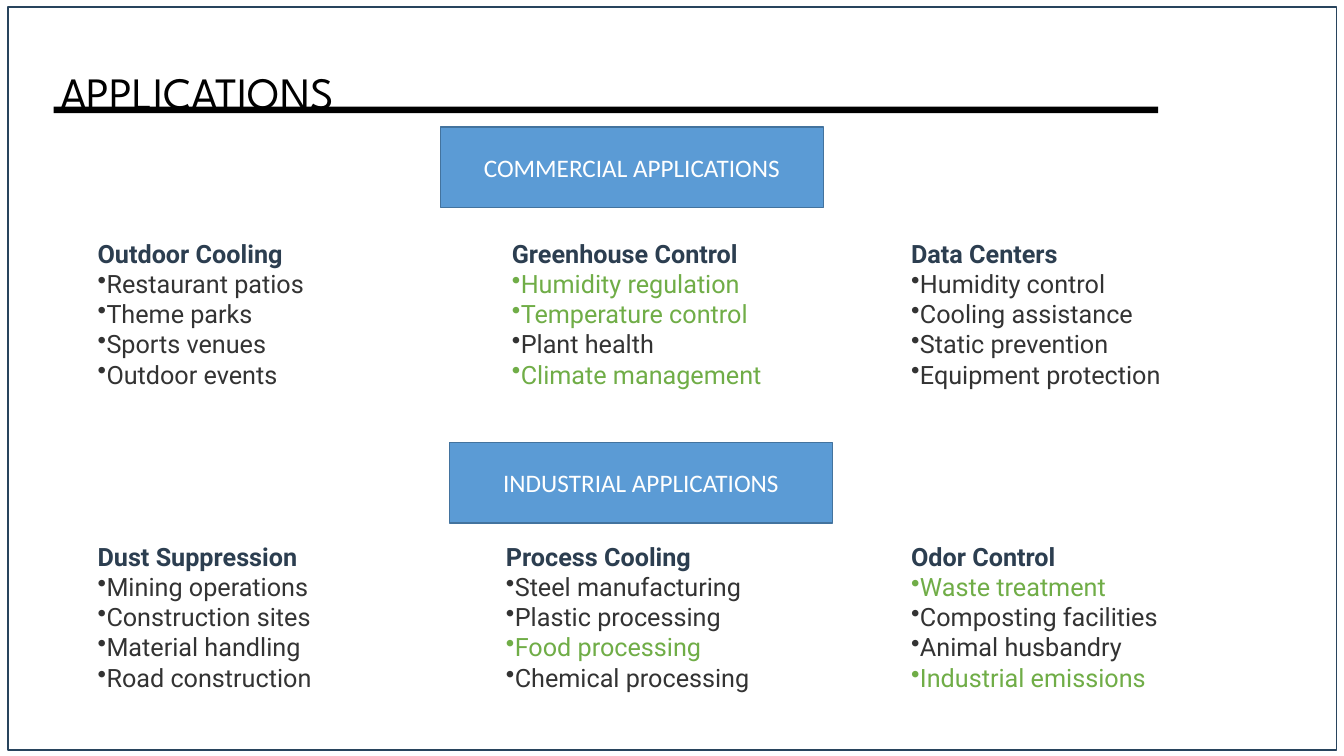
from lxml.etree import SubElement
from pptx import Presentation
from pptx.dml.color import RGBColor
from pptx.enum.shapes import MSO_SHAPE
from pptx.enum.text import MSO_ANCHOR, MSO_AUTO_SIZE, PP_ALIGN
from pptx.oxml.ns import qn
from pptx.util import Cm, Pt

COLORS = {
    "white": "FFFFFF",
    "black": "000000",
    "frame": "28445D",
    "banner": "5B9BD5",
    "banner_line": "43739E",
    "heading": "2C3E50",
    "body": "333333",
    "highlight": "70AD47",
}

HIGHLIGHTED = {
    "Humidity regulation",
    "Temperature control",
    "Climate management",
    "Food processing",
    "Waste treatment",
    "Industrial emissions",
}

SECTIONS = [
    {
        "title": "COMMERCIAL APPLICATIONS",
        "banner": (11.1, 3.2),
        "columns_top": 5.87,
        "columns": [
            (2.21, "Outdoor Cooling",
             ["Restaurant patios", "Theme parks", "Sports venues", "Outdoor events"]),
            (12.65, "Greenhouse Control",
             ["Humidity regulation", "Temperature control", "Plant health", "Climate management"]),
            (22.71, "Data Centers",
             ["Humidity control", "Cooling assistance", "Static prevention", "Equipment protection"]),
        ],
    },
    {
        "title": "INDUSTRIAL APPLICATIONS",
        "banner": (11.33, 11.15),
        "columns_top": 13.51,
        "columns": [
            (2.21, "Dust Suppression",
             ["Mining operations", "Construction sites", "Material handling", "Road construction"]),
            (12.5, "Process Cooling",
             ["Steel manufacturing", "Plastic processing", "Food processing", "Chemical processing"]),
            (22.71, "Odor Control",
             ["Waste treatment", "Composting facilities", "Animal husbandry", "Industrial emissions"]),
        ],
    },
]


def color(name):
    return RGBColor.from_string(COLORS[name])


def format_runs(paragraph, font_name, size, color_name, bold=False):
    for run in paragraph.runs:
        run.font.name = font_name
        run.font.size = Pt(size)
        run.font.bold = bold
        run.font.color.rgb = color(color_name)


def add_rectangle(slide, left, top, width, height, fill, line=None):
    shape = slide.shapes.add_shape(
        MSO_SHAPE.RECTANGLE, Cm(left), Cm(top), Cm(width), Cm(height))
    shape.shadow.inherit = False
    shape.fill.solid()
    shape.fill.fore_color.rgb = color(fill)
    if line:
        shape.line.color.rgb = color(line)
        shape.line.width = Pt(1)
    else:
        shape.line.fill.background()
    return shape


def add_text_box(slide, left, top, width, height):
    shape = slide.shapes.add_textbox(Cm(left), Cm(top), Cm(width), Cm(height))
    text_frame = shape.text_frame
    text_frame.word_wrap = True
    text_frame.auto_size = MSO_AUTO_SIZE.SHAPE_TO_FIT_TEXT
    return text_frame


def add_bullet(paragraph):
    properties = paragraph._p.get_or_add_pPr()
    properties.set("marL", "0")
    properties.set("indent", "0")
    SubElement(properties, qn("a:buChar")).set("char", "•")


def add_title(slide, left, top, width, height):
    text_frame = add_text_box(slide, left, top, width, height)
    text_frame.margin_left = text_frame.margin_right = 0
    text_frame.margin_top = text_frame.margin_bottom = 0
    text_frame.text = "APPLICATIONS"
    paragraph = text_frame.paragraphs[0]
    paragraph.line_spacing = 1.32
    format_runs(paragraph, "League Spartan", 32, "black")
    add_rectangle(slide, left - 0.17, top + 1.5, 27.84, 0.16, "black")


def add_banner(slide, left, top, width, height, title):
    banner = add_rectangle(slide, left, top, width, height, "banner", "banner_line")
    text_frame = banner.text_frame
    text_frame.vertical_anchor = MSO_ANCHOR.MIDDLE
    text_frame.text = title
    paragraph = text_frame.paragraphs[0]
    paragraph.alignment = PP_ALIGN.CENTER
    format_runs(paragraph, "Calibri", 18, "white")


def add_column(slide, left, top, width, height, heading, items):
    text_frame = add_text_box(slide, left, top, width, height)
    text_frame.text = "\n".join([heading, *items])
    heading_paragraph, *item_paragraphs = text_frame.paragraphs
    format_runs(heading_paragraph, "Roboto", 18, "heading", bold=True)
    for paragraph in item_paragraphs:
        add_bullet(paragraph)
        color_name = "highlight" if paragraph.text in HIGHLIGHTED else "body"
        format_runs(paragraph, "Roboto", 18, color_name)


def add_section(slide, section):
    add_banner(slide, *section["banner"], 9.65, 2.03, section["title"])
    for left, heading, items in section["columns"]:
        add_column(slide, left, section["columns_top"], 16.94, 4.11, heading, items)


def main():
    presentation = Presentation()
    presentation.slide_width = Cm(33.87)
    presentation.slide_height = Cm(19.05)
    slide = presentation.slides.add_slide(presentation.slide_layouts[6])
    add_rectangle(slide, 0.2, 0.18, 33.48, 18.72, "white", "frame")
    add_title(slide, 1.52, 1.19, 24.92, 2.49)
    for section in SECTIONS:
        add_section(slide, section)
    presentation.save("out.pptx")


if __name__ == "__main__":
    main()
